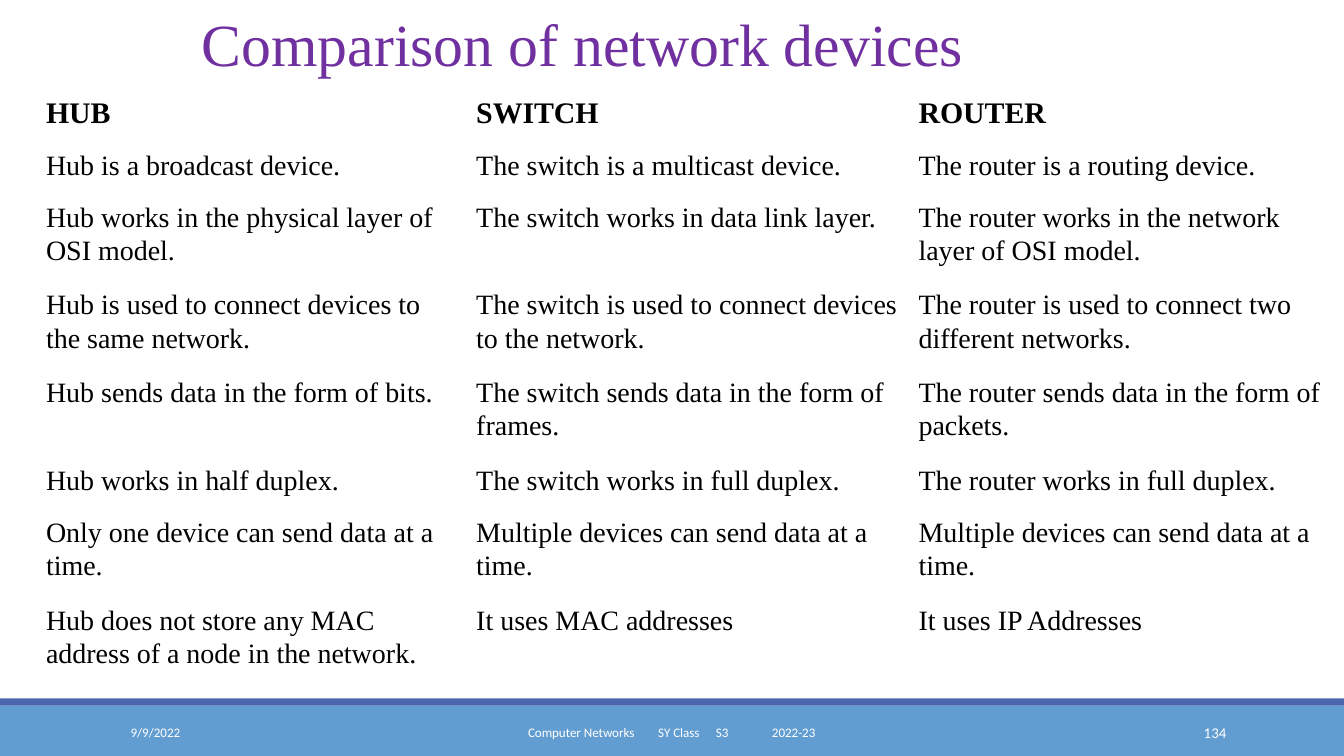
"""Build a slide that compares hubs, switches and routers in a table."""
import pptx
import pptx.util
import pptx.dml.color
import pptx.enum.shapes
import pptx.enum.text
import pptx.oxml
import pptx.oxml.ns

Cm = pptx.util.Cm
Align = pptx.enum.text.PP_ALIGN
Anchor = pptx.enum.text.MSO_ANCHOR


class Theme:
    serif = "Times New Roman"
    sans = "Calibri"
    title = "7030A0"
    text = "000000"
    light = "FFFFFF"
    band = "629DD1"
    strip = "4A66AC"
    big = 32
    head = 16
    body = 15
    page = 8
    foot = 7
    plain = "{2D5ABB26-0587-4C30-8999-92F81FD0307C}"


def write(par, text, font, size, color, bold=False):
    run = par.add_run()
    run.text = text
    run.font.name = font
    run.font.size = pptx.util.Pt(size)
    run.font.bold = bold
    run.font.color.rgb = pptx.dml.color.RGBColor.from_string(color)


def inset(item, side, top):
    item.margin_left = item.margin_right = Cm(side)
    item.margin_top = item.margin_bottom = Cm(top)


deck = pptx.Presentation()
deck.slide_width = Cm(25.4)
deck.slide_height = Cm(14.29)
slide = deck.slides.add_slide(deck.slide_layouts[5])

for top, high, color in [(13.34, 0.95, Theme.band), (13.2, 0.14, Theme.strip)]:
    bar = slide.shapes.add_shape(
        pptx.enum.shapes.MSO_SHAPE.RECTANGLE, 0, Cm(top), deck.slide_width, Cm(high))
    bar.shadow.inherit = False
    bar.fill.solid()
    bar.fill.fore_color.rgb = pptx.dml.color.RGBColor.from_string(color)
    bar.line.fill.background()

title = slide.shapes.title
title.left, title.top, title.width, title.height = Cm(3.56), 0, Cm(21.84), Cm(1.63)
frame = title.text_frame
inset(frame, 0.25, 0.13)
frame.word_wrap = True
frame.auto_size = pptx.enum.text.MSO_AUTO_SIZE.SHAPE_TO_FIT_TEXT
frame.vertical_anchor = Anchor.TOP
frame.paragraphs[0].alignment = Align.LEFT
write(frame.paragraphs[0], "Comparison of network devices", Theme.serif, Theme.big, Theme.title)

feet = [
    (2.29, 5.16, 0.18, "9/9/2022", Theme.foot, Align.LEFT, []),
    (7.67, 10.06, 2.31, "Computer Networks\tSY Class\tS3\t2022-23", Theme.foot, Align.LEFT,
     [2.46, 3.55, 4.61]),
    (20.62, 2.74, 0.18, "134", Theme.page, Align.RIGHT, []),
]
for left, wide, side, text, size, align, stops in feet:
    box = slide.shapes.add_textbox(Cm(left), Cm(13.46), Cm(wide), Cm(0.76))
    frame = box.text_frame
    frame.word_wrap = True
    frame.vertical_anchor = Anchor.MIDDLE
    inset(frame, 0.18, 0.1)
    frame.margin_left = Cm(side)
    par = frame.paragraphs[0]
    par.alignment = align
    if stops:
        tabs = pptx.oxml.parse_xml("<a:tabLst %s/>" % pptx.oxml.ns.nsdecls("a"))
        for stop in stops:
            tabs.append(pptx.oxml.parse_xml(
                '<a:tab %s pos="%d" algn="l"/>' % (pptx.oxml.ns.nsdecls("a"), Cm(stop))))
        par._p.get_or_add_pPr().append(tabs)
    write(par, text, Theme.sans, size, Theme.light)

rows = [
    (0.71, "HUB", "SWITCH", "ROUTER"),
    (0.94, "Hub is a broadcast device.", "The switch is a multicast device.",
     "The router is a routing device."),
    (1.52, "Hub works in the physical layer of OSI model.",
     "The switch works in data link layer.",
     "The router works in the network layer of OSI model."),
    (1.45, "Hub is used to connect devices to the same network.",
     "The switch is used to connect devices to the network.",
     "The router is used to connect two different networks."),
    (1.6, "Hub sends data in the form of bits.",
     "The switch sends data in the form of frames.",
     "The router sends data in the form of packets."),
    (0.94, "Hub works in half duplex.", "The switch works in full duplex.",
     "The router works in full duplex."),
    (1.45, "Only one device can send data at a time.",
     "Multiple devices can send data at a time.",
     "Multiple devices can send data at a time."),
    (1.45, "Hub does not store any MAC address of a node in the network.",
     "It uses MAC addresses", "It uses IP Addresses"),
]
cols = [8.13, 8.36, 8.08]
high = sum(row[0] for row in rows)
grid = slide.shapes.add_table(
    len(rows), len(cols), Cm(0.71), Cm(1.63), Cm(sum(cols)), Cm(high)).table
grid.first_row = False
grid.horz_banding = False
grid._tbl.tblPr.find(pptx.oxml.ns.qn("a:tableStyleId")).text = Theme.plain
for col, wide in zip(grid.columns, cols):
    col.width = Cm(wide)
for i, (high, *texts) in enumerate(rows):
    grid.rows[i].height = Cm(high)
    for j, text in enumerate(texts):
        cell = grid.cell(i, j)
        cell.fill.background()
        inset(cell, 0.16, 0.15)
        par = cell.text_frame.paragraphs[0]
        par.line_spacing = 1.07
        size = Theme.body if i else Theme.head
        write(par, text, Theme.serif, size, Theme.text, i == 0)

deck.save("out.pptx")
